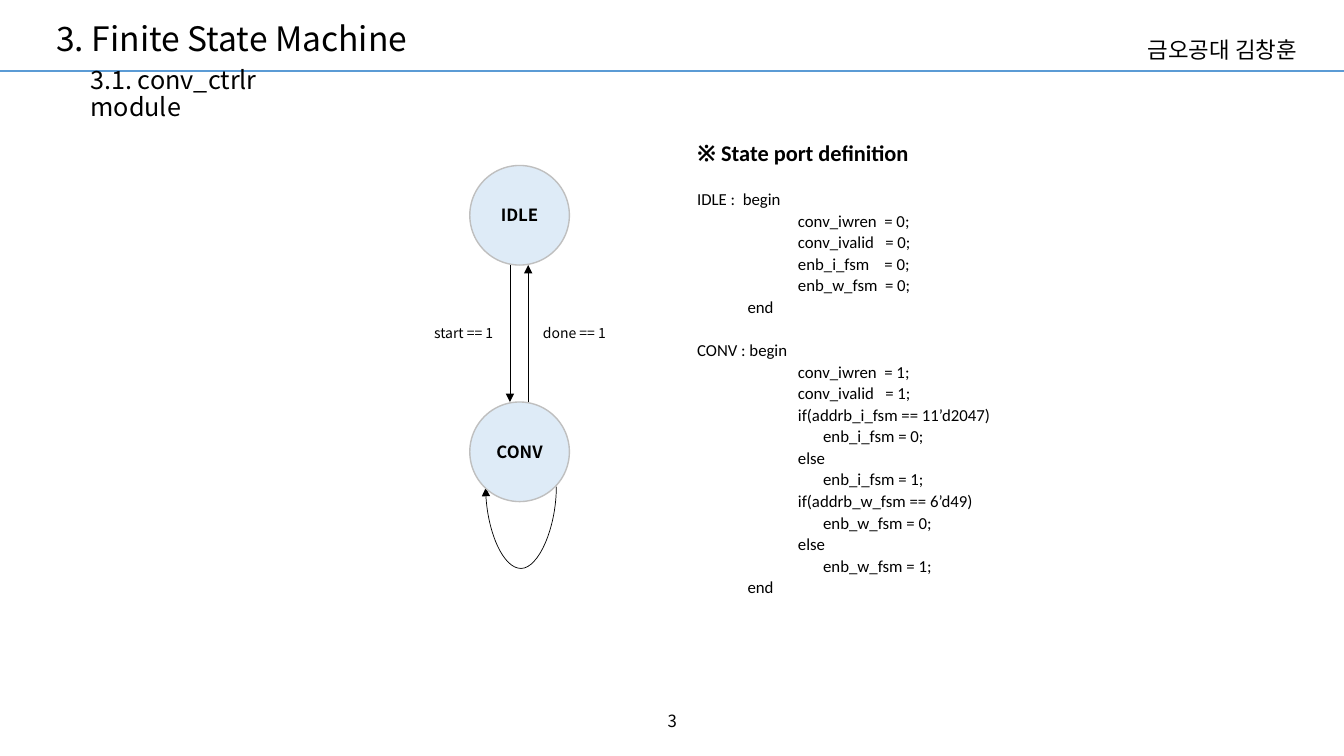
import pptx
import pptx.util
import pptx.dml.color
import pptx.enum.shapes
import pptx.enum.text
import pptx.oxml.ns
import lxml.etree

Cm, Pt = pptx.util.Cm, pptx.util.Pt
RGB = pptx.dml.color.RGBColor.from_string
SHAPE = pptx.enum.shapes.MSO_SHAPE
CONNECTOR = pptx.enum.shapes.MSO_CONNECTOR
ALIGN = pptx.enum.text.PP_ALIGN
ANCHOR = pptx.enum.text.MSO_ANCHOR
qn = pptx.oxml.ns.qn

# Content
TITLE = "3. Finite State Machine"
SUBTITLE = "3.1. conv_ctrlr module"
AUTHOR = "금오공대 김창훈"
PAGE = "3"
STATES = ["IDLE", "CONV"]
TRANSITIONS = ["start == 1", "done == 1"]
CODE_TITLE = "※ State port definition"
CODE = [  # blocks of (indent steps, text)
    [
        (0, "IDLE :  begin"),
        (4, "conv_iwren  = 0;"),
        (4, "conv_ivalid   = 0;"),
        (4, "enb_i_fsm    = 0;"),
        (4, "enb_w_fsm  = 0;"),
        (2, "end"),
    ],
    [
        (0, "CONV : begin"),
        (4, "conv_iwren  = 1;"),
        (4, "conv_ivalid   = 1;"),
        (4, "if(addrb_i_fsm == 11’d2047)"),
        (5, "enb_i_fsm = 0;"),
        (4, "else"),
        (5, "enb_i_fsm = 1;"),
        (4, "if(addrb_w_fsm == 6’d49)"),
        (5, "enb_w_fsm = 0;"),
        (4, "else"),
        (5, "enb_w_fsm = 1;"),
        (2, "end"),
    ],
]

THEME = {
    "font": "Noto Sans CJK KR", "code_font": "Calibri",
    "text": "000000", "rule": "5B9BD5", "state": "DEEBF7", "state_line": "BFBFBF",
    "title": 24, "subtitle": 18, "heading": 16, "body": 12, "label": 10,
}

# Layout
WIDTH, HEIGHT = Cm(33.87), Cm(19.05)
RULE_Y = Cm(1.78)
STATE_X, STATE_Y, STATE_D, STATE_STEP = Cm(11.84), Cm(4.17), Cm(2.51), Cm(5.96)
ARROW_X = [Cm(12.85), Cm(13.31)]
LABEL_X, LABEL_Y, LABEL_W, LABEL_H = [Cm(10.49), Cm(13.28)], Cm(8.05), Cm(2.39), Cm(0.69)
LOOP_X, LOOP_Y, LOOP_W, LOOP_DROP, LOOP_RISE = Cm(13.13), Cm(12.28), Cm(1.78), Cm(2.06), Cm(0.03)
INDENT = Cm(2.54) // 4
BLOCK_GAP = Pt(15.5)

prs = pptx.Presentation()
prs.slide_width, prs.slide_height = WIDTH, HEIGHT
s = prs.slides.add_slide(prs.slide_layouts[6])


def write(p, text, size, font=THEME["font"], bold=False, **paragraph):
    for name, value in paragraph.items():
        setattr(p, name, value)
    r = p.add_run()
    r.text = text
    for name, value in {"name": font, "size": Pt(size), "bold": bold}.items():
        setattr(r.font, name, value)
    r.font.color.rgb = RGB(THEME["text"])
    ea = lxml.etree.SubElement(r._r.get_or_add_rPr(), qn("a:ea"))
    ea.set("typeface", font)


def text_box(x, y, w, h, anchor=ANCHOR.TOP):
    tf = s.shapes.add_textbox(x, y, w, h).text_frame
    tf.word_wrap, tf.vertical_anchor = True, anchor
    return tf


def line(kind, x1, y1, x2, y2, color, width, arrow=False):
    c = s.shapes.add_connector(kind, x1, y1, x2, y2)
    c.line.color.rgb, c.line.width = RGB(color), Pt(width)
    if arrow:
        lxml.etree.SubElement(c.line._get_or_add_ln(), qn("a:tailEnd")).set("type", "triangle")
    lxml.etree.SubElement(c._element.spPr, qn("a:effectLst"))
    return c


# Header and page number
line(CONNECTOR.STRAIGHT, 0, RULE_Y, WIDTH, RULE_Y, THEME["rule"], 1.5)
for text, box, anchor, size, fmt in [
    (AUTHOR, (28.68, 0.79, 4.83, 0.94), ANCHOR.TOP, "heading", {}),
    (TITLE, (1.17, 0.36, 10.34, 1.32), ANCHOR.MIDDLE, "title", {"line_spacing": 0.9}),
    (SUBTITLE, (2.03, 1.73, 7.06, 1.32), ANCHOR.MIDDLE, "subtitle", {"line_spacing": 0.9}),
    (PAGE, (13.13, 17.65, 7.62, 1.02), ANCHOR.MIDDLE, "body", {"alignment": ALIGN.CENTER}),
]:
    tf = text_box(*map(Cm, box), anchor)
    write(tf.paragraphs[0], text, THEME[size], **fmt)

# Self loop of CONV: a flat curve turned a quarter, bulging downwards
left, top = LOOP_X - LOOP_RISE // 2, LOOP_Y - LOOP_W // 2
loop = line(CONNECTOR.CURVE, left, top, left + LOOP_RISE, top + LOOP_W, THEME["text"], 0.5, True)
loop._element.spPr.find(qn("a:xfrm")).set("rot", "5400000")
geometry = loop._element.spPr.find(qn("a:prstGeom"))
geometry.set("prst", "curvedConnector3")
guide = lxml.etree.SubElement(geometry.get_or_add_avLst(), qn("a:gd"))
guide.set("name", "adj1")
guide.set("fmla", f"val {round(LOOP_DROP / LOOP_RISE * 100000)}")

# States
for i, state in enumerate(STATES):
    sp = s.shapes.add_shape(SHAPE.OVAL, STATE_X, STATE_Y + i * STATE_STEP, STATE_D, STATE_D)
    sp.shadow.inherit = False
    sp.fill.solid()
    sp.fill.fore_color.rgb = RGB(THEME["state"])
    sp.line.color.rgb, sp.line.width = RGB(THEME["state_line"]), Pt(1)
    tf = sp.text_frame
    for side in ("left", "top", "right", "bottom"):
        setattr(tf, f"margin_{side}", 0)
    tf.vertical_anchor = ANCHOR.MIDDLE
    write(tf.paragraphs[0], state, THEME["body"], bold=True, alignment=ALIGN.CENTER)

# Transitions: down to CONV, back up to IDLE
ends = [STATE_Y + STATE_D, STATE_Y + STATE_STEP]
for label, x, label_x, (y1, y2) in zip(TRANSITIONS, ARROW_X, LABEL_X, [ends, ends[::-1]]):
    line(CONNECTOR.STRAIGHT, x, y1, x, y2, THEME["text"], 0.5, True)
    tf = text_box(label_x, LABEL_Y, LABEL_W, LABEL_H)
    write(tf.paragraphs[0], label, THEME["label"], alignment=ALIGN.CENTER)

# State port definition
tf = text_box(Cm(17.32), Cm(3.33), Cm(8.41), Cm(11.96))
write(tf.paragraphs[0], CODE_TITLE, THEME["heading"], THEME["code_font"], True, line_spacing=1.07)
for block in CODE:
    for i, (steps, text) in enumerate(block):
        p = tf.add_paragraph()
        p._p.get_or_add_pPr().set("marL", str(steps * INDENT))
        write(p, text, THEME["body"], THEME["code_font"], line_spacing=1.07,
              space_before=Pt(0) if i else BLOCK_GAP)

prs.save("out.pptx")
